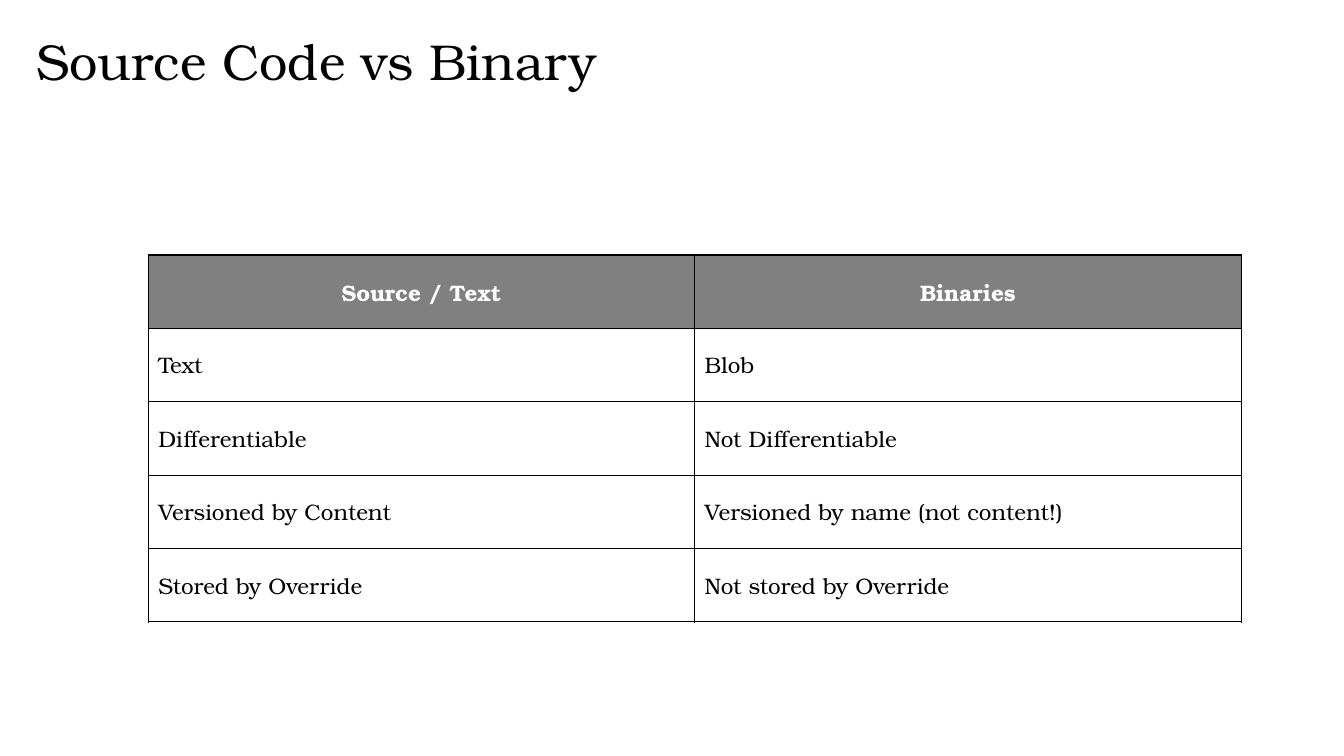
from lxml import etree
from pptx import Presentation
from pptx.dml.color import RGBColor
from pptx.enum.text import MSO_ANCHOR, PP_ALIGN
from pptx.oxml.ns import qn
from pptx.util import Inches, Pt

MIDDLE = MSO_ANCHOR.MIDDLE
CENTER, LEFT = PP_ALIGN.CENTER, PP_ALIGN.LEFT
FONT = "TeX Gyre Bonum"
COLORS = {"ink": "000000", "paper": "FFFFFF", "header": "808080"}
COLUMN_WIDTH, ROW_HEIGHT = Inches(5.42), Inches(0.728)
COMPARISON = [
    ("Source / Text", "Binaries"),
    ("Text", "Blob"),
    ("Differentiable", "Not Differentiable"),
    ("Versioned by Content", "Versioned by name (not content!)"),
    ("Stored by Override", "Not stored by Override"),
]


def add_run(paragraph, text, size, color, bold=False):
    run = paragraph.add_run()
    run.text = text
    run.font.name = FONT
    run.font.size = Pt(size)
    run.font.bold = bold
    run.font.color.rgb = RGBColor.from_string(COLORS[color])


def add_borders(cell):
    """Put a thin line on all four sides; borders must precede the fill."""
    properties = cell._tc.get_or_add_tcPr()
    for position, side in enumerate(("a:lnL", "a:lnR", "a:lnT", "a:lnB")):
        line = etree.Element(qn(side), w=str(Pt(1)))
        fill = etree.SubElement(line, qn("a:solidFill"))
        etree.SubElement(fill, qn("a:srgbClr"), val=COLORS["ink"])
        properties.insert(position, line)


presentation = Presentation()
presentation.slide_width = Inches(13.33)
presentation.slide_height = Inches(7.5)
slide = presentation.slides.add_slide(presentation.slide_layouts[6])

title = slide.shapes.add_textbox(
    Inches(0.26), Inches(0.25), Inches(12.56), Inches(0.71))
title.text_frame.word_wrap = True
add_run(title.text_frame.paragraphs[0], "Source Code vs Binary", 36, "ink")

row_count, column_count = len(COMPARISON), len(COMPARISON[0])
table = slide.shapes.add_table(
    row_count, column_count, Inches(1.47), Inches(2.53),
    COLUMN_WIDTH * column_count, ROW_HEIGHT * row_count).table

for row_index, texts in enumerate(COMPARISON):
    is_header = row_index == 0
    for column_index, text in enumerate(texts):
        cell = table.cell(row_index, column_index)
        cell.vertical_anchor = MIDDLE
        cell.fill.solid()
        cell.fill.fore_color.rgb = RGBColor.from_string(
            COLORS["header" if is_header else "paper"])
        add_borders(cell)
        paragraph = cell.text_frame.paragraphs[0]
        paragraph.alignment = CENTER if is_header else LEFT
        add_run(paragraph, text, 16, "paper" if is_header else "ink", is_header)

presentation.save("out.pptx")
